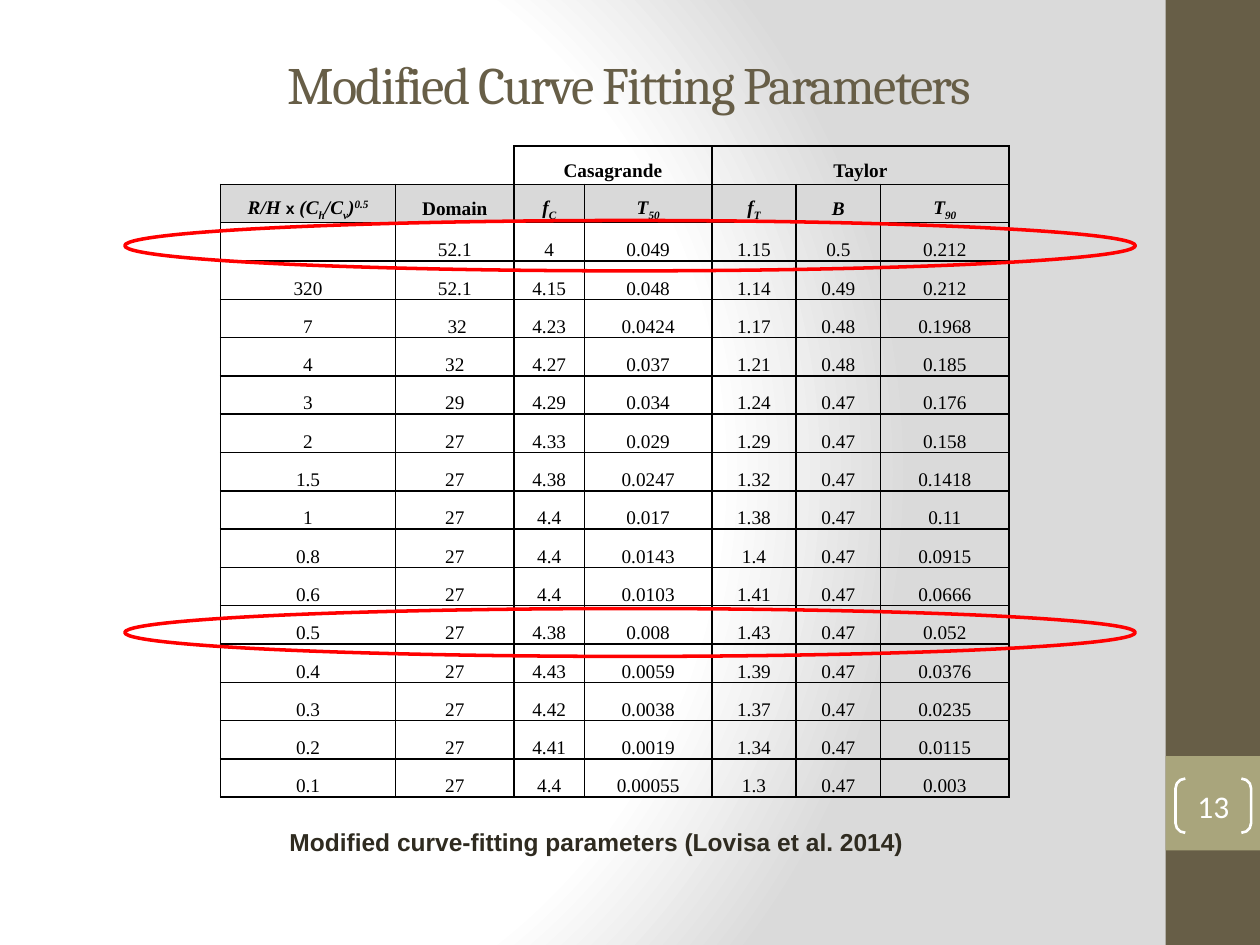
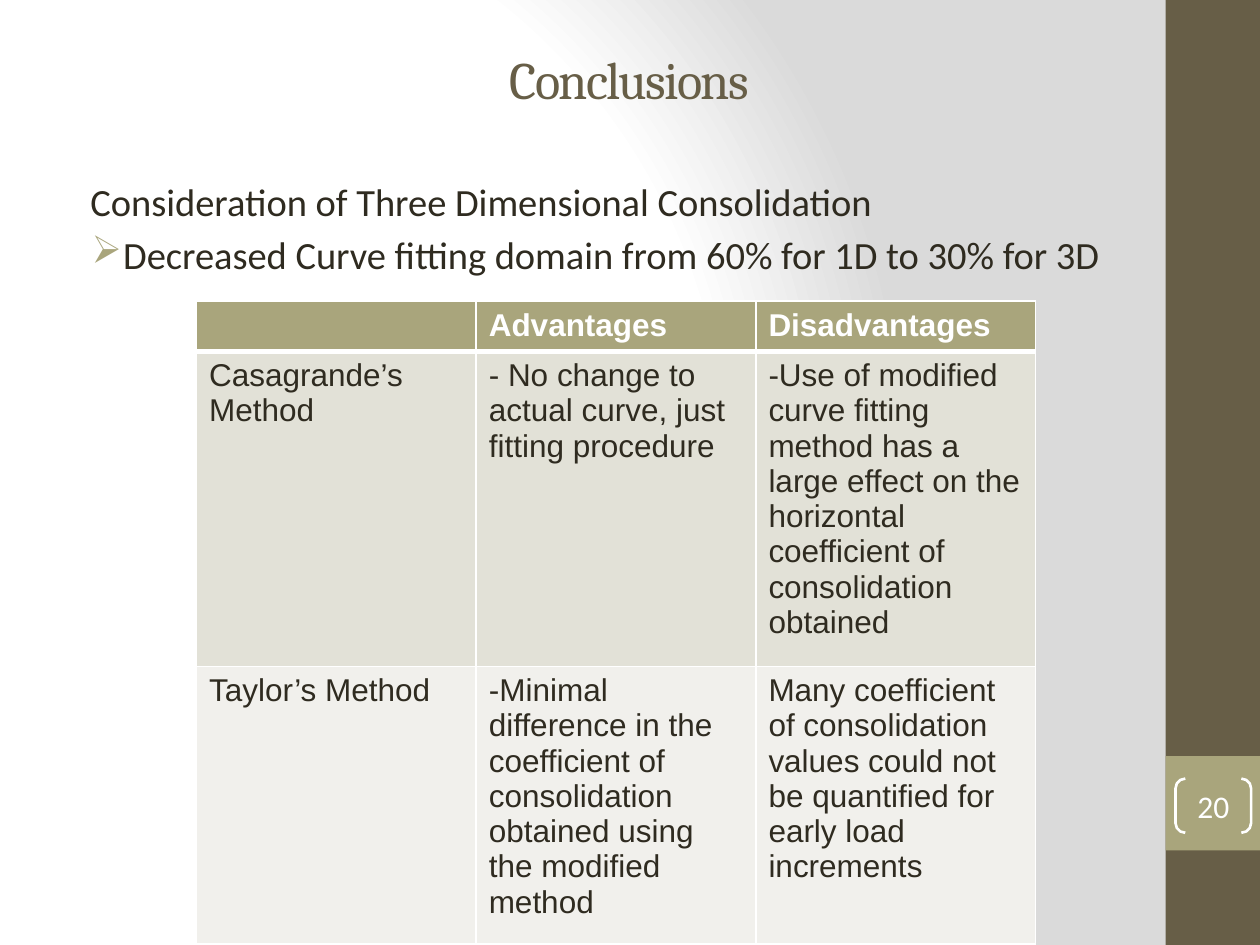
"""Build two slides on modified curve-fitting parameters for consolidation tests."""
import dataclasses
import typing

import lxml.etree
import pptx
import pptx.dml.color
import pptx.enum.shapes
import pptx.enum.text
import pptx.oxml.ns
import pptx.util

qn = pptx.oxml.ns.qn
ALIGN = pptx.enum.text.PP_ALIGN
ANCHOR = pptx.enum.text.MSO_ANCHOR
SHAPE = pptx.enum.shapes.MSO_SHAPE


@dataclasses.dataclass(frozen=True)
class Theme:
    olive: str = "675E47"
    sage: str = "A9A57C"
    ink: str = "2F2B20"
    white: str = "FFFFFF"
    black: str = "000000"
    red: str = "FF0000"
    shade: str = "D9D9D9"
    backdrop_edge: str = "DADADA"
    method_fills: tuple[str, str] = ("E2E1D7", "F1F0EC")
    heading_font: str = "Cambria"
    body_font: str = "Calibri"
    label_font: str = "Arial"
    data_font: str = "Times New Roman"
    title_size: float = 30
    body_size: float = 22
    label_size: float = 18
    caption_size: float = 14
    data_size: float = 11
    sign_size: float = 9


THEME = Theme()
SLIDE_WIDTH = pptx.util.Inches(10)
SLIDE_HEIGHT = pptx.util.Inches(7.5)
COLUMN = SLIDE_WIDTH / 100
ROW = SLIDE_HEIGHT / 75


@dataclasses.dataclass(frozen=True)
class Frame:
    left: float
    top: float
    width: float
    height: float

    def emu(self) -> tuple[int, int, int, int]:
        return (round(self.left * COLUMN), round(self.top * ROW),
                round(self.width * COLUMN), round(self.height * ROW))


class Panel(typing.NamedTuple):
    frame: Frame
    kind: typing.Any
    fill: str | None = None
    line: str | None = None
    weight: float = 0


class Symbol(typing.NamedTuple):
    text: str
    baseline: int = 0
    italic: bool = True
    font: str = THEME.data_font
    size: float = THEME.data_size


BANDS = (
    Panel(Frame(92.5, 0, 7.5, 75), SHAPE.RECTANGLE, fill=THEME.olive),
    Panel(Frame(92.5, 60, 7.5, 7.5), SHAPE.RECTANGLE, fill=THEME.sage),
)
PAGE_BRACKET = Panel(Frame(93.3, 61.8, 6, 4.3), SHAPE.DOUBLE_BRACKET, line=THEME.white, weight=1.5)
HIGHLIGHTS = tuple(
    Panel(frame, SHAPE.OVAL, line=THEME.red, weight=2)
    for frame in (Frame(9.9, 48.3, 80.2, 3.8), Frame(9.9, 17.5, 80.2, 4))
)

PARAMETER_WIDTHS = (13.9, 9.4, 5.6, 10.1, 6.7, 6.7, 10.2)
PARAMETER_ROW = 3.04
PARAMETER_SYMBOLS = (
    (Symbol("R/H "), Symbol("x", italic=False, font=THEME.label_font, size=THEME.sign_size),
     Symbol(" (C"), Symbol("h", -25), Symbol("/C"), Symbol("v", -25), Symbol(")"), Symbol("0.5", 30)),
    (Symbol("Domain", italic=False),),
    (Symbol("f"), Symbol("C", -25)),
    (Symbol("T"), Symbol("50", -25)),
    (Symbol("f"), Symbol("T", -25)),
    (Symbol("B"),),
    (Symbol("T"), Symbol("90", -25)),
)
PARAMETERS = (
    ("", "52.1", "4", "0.049", "1.15", "0.5", "0.212"),
    ("320", "52.1", "4.15", "0.048", "1.14", "0.49", "0.212"),
    ("7", " 32", "4.23", "0.0424", "1.17", "0.48", "0.1968"),
    ("4", "32", "4.27", "0.037", "1.21", "0.48", "0.185"),
    ("3", "29", "4.29", "0.034", "1.24", "0.47", "0.176"),
    ("2", "27", "4.33", "0.029", "1.29", "0.47", "0.158"),
    ("1.5", "27", "4.38", "0.0247", "1.32", "0.47", "0.1418"),
    ("1", "27", "4.4", "0.017", "1.38", "0.47", "0.11"),
    ("0.8", "27", "4.4", "0.0143", "1.4", "0.47", "0.0915"),
    ("0.6", "27", "4.4", "0.0103", "1.41", "0.47", "0.0666"),
    ("0.5", "27", "4.38", "0.008", "1.43", "0.47", "0.052"),
    ("0.4", "27", "4.43", "0.0059", "1.39", "0.47", "0.0376"),
    ("0.3", "27", "4.42", "0.0038", "1.37", "0.47", "0.0235"),
    ("0.2", "27", "4.41", "0.0019", "1.34", "0.47", "0.0115"),
    ("0.1", "27", "4.4", "0.00055", "1.3", "0.47", "0.003"),
)
METHOD_WIDTHS = (22.2,) * 3
METHOD_HEIGHTS = (3.9, 23.4, 20.7)
METHODS = (
    ("", "Advantages", "Disadvantages"),
    ("Casagrande’s Method", "- No change to actual curve, just fitting procedure",
     "-Use of modified curve fitting method has a large effect on the horizontal "
     "coefficient of consolidation obtained"),
    ("Taylor’s Method",
     "-Minimal difference in the coefficient of consolidation obtained using the modified method",
     "Many coefficient of consolidation values could not be quantified for early load increments"),
)


def rgb(color: str) -> pptx.dml.color.RGBColor:
    return pptx.dml.color.RGBColor.from_string(color)


def add_xml(parent, tag: str, **attributes):
    return lxml.etree.SubElement(parent, qn(tag), attributes)


def write(paragraph, text: str, *, font: str, size: float, color: str, bold: bool = False,
          italic: bool = False, baseline: int = 0, tracking: float = 0) -> None:
    if not text:
        add_xml(paragraph._p, "a:endParaRPr", sz=str(round(size * 100)))
        return
    run = paragraph.add_run()
    run.text = text
    run.font.name = font
    run.font.size = pptx.util.Pt(size)
    run.font.color.rgb = rgb(color)
    run.font.bold = bold
    run.font.italic = italic
    properties = run._r.get_or_add_rPr()
    if baseline:
        properties.set("baseline", str(baseline * 1000))
    if tracking:
        properties.set("spc", str(round(tracking * 100)))


def draw_panel(slide, panel: Panel):
    shape = slide.shapes.add_shape(panel.kind, *panel.frame.emu())
    shape.shadow.inherit = False
    if panel.fill:
        shape.fill.solid()
        shape.fill.fore_color.rgb = rgb(panel.fill)
    else:
        shape.fill.background()
    if panel.line:
        shape.line.color.rgb = rgb(panel.line)
        shape.line.width = pptx.util.Pt(panel.weight)
    else:
        shape.line.fill.background()
    return shape


def add_text_box(slide, frame: Frame):
    text_frame = slide.shapes.add_textbox(*frame.emu()).text_frame
    text_frame.word_wrap = True
    return text_frame


def set_backdrop(master) -> None:
    master.background.fill.gradient()
    gradient = master.element.find(f".//{qn('p:bgPr')}/{qn('a:gradFill')}")
    for child in list(gradient):
        gradient.remove(child)
    stops = add_xml(gradient, "a:gsLst")
    for position, color in ((0, THEME.white), (75, THEME.white), (100, THEME.backdrop_edge)):
        stop = add_xml(stops, "a:gs", pos=str(position * 1000))
        add_xml(stop, "a:srgbClr", val=color)
    circle = add_xml(gradient, "a:path", path="circle")
    add_xml(circle, "a:fillToRect", l="20000", t="50000", r="100000", b="50000")


def start_slide(deck, title: str, title_top: float, page: int):
    slide = deck.slides.add_slide(deck.slide_layouts.get_by_name("Title Only"))
    for band in BANDS:
        draw_panel(slide, band)
    heading = slide.shapes.title
    heading.left, heading.top, heading.width, heading.height = Frame(8.3, title_top, 83.3, 12.5).emu()
    heading.text_frame.vertical_anchor = ANCHOR.MIDDLE
    heading.text_frame.auto_size = pptx.enum.text.MSO_AUTO_SIZE.NONE
    paragraph = heading.text_frame.paragraphs[0]
    paragraph.alignment = ALIGN.CENTER
    write(paragraph, title, font=THEME.heading_font, size=THEME.title_size,
          color=THEME.olive, tracking=-1)
    bracket = draw_panel(slide, PAGE_BRACKET)
    bracket.adjustments[0] = 0.18
    number = bracket.text_frame
    number.margin_left = number.margin_right = number.margin_top = number.margin_bottom = 0
    number.vertical_anchor = ANCHOR.MIDDLE
    number.paragraphs[0].alignment = ALIGN.CENTER
    write(number.paragraphs[0], str(page), font=THEME.body_font, size=THEME.label_size,
          color=THEME.white)
    return slide


def add_grid(slide, left: float, top: float, widths: typing.Sequence[float],
             heights: typing.Sequence[float]):
    frame = Frame(left, top, sum(widths), sum(heights))
    table = slide.shapes.add_table(len(heights), len(widths), *frame.emu()).table
    table.first_row = table.horz_banding = False
    table._tbl.tblPr.find(qn("a:tableStyleId")).text = "{2D5ABB26-0587-4C30-8999-92F81FD0307C}"
    for column, width in zip(table.columns, widths):
        column.width = round(width * COLUMN)
    for row, height in zip(table.rows, heights):
        row.height = round(height * ROW)
    return table


def dress_cell(cell, color: str, sides: str = "LRTB", fill: str | None = None,
               bottom_weight: float = 1) -> None:
    properties = cell._tc.get_or_add_tcPr()
    for side in sides:
        weight = bottom_weight if side == "B" else 1
        line = add_xml(properties, f"a:ln{side}", w=str(pptx.util.Pt(weight)))
        add_xml(add_xml(line, "a:solidFill"), "a:srgbClr", val=color)
    if fill:
        cell.fill.solid()
        cell.fill.fore_color.rgb = rgb(fill)
    else:
        cell.fill.background()


def add_parameter_table(slide) -> None:
    groups = ("", "", "Casagrande", "", "Taylor", "", "")
    rows = (tuple((Symbol(group, italic=False),) for group in groups), PARAMETER_SYMBOLS,
            *(tuple((Symbol(value, italic=False),) for value in values) for values in PARAMETERS))
    table = add_grid(slide, 17.5, 11.6, PARAMETER_WIDTHS, (PARAMETER_ROW,) * len(rows))
    corner_sides = {(0, 0): "B", (0, 1): "RB"}
    for r, row in enumerate(rows):
        for c, symbols in enumerate(row):
            cell = table.cell(r, c)
            cell.margin_left = cell.margin_right = pptx.util.Inches(0.07)
            cell.margin_top = cell.margin_bottom = 0
            cell.vertical_anchor = ANCHOR.MIDDLE if r < 2 else ANCHOR.BOTTOM
            dress_cell(cell, THEME.black, corner_sides.get((r, c), "LRTB"),
                       THEME.shade if r == 1 else None)
            paragraph = cell.text_frame.paragraphs[0]
            paragraph.alignment = ALIGN.CENTER
            paragraph.line_spacing = 1.5
            for symbol in symbols:
                write(paragraph, symbol.text, font=symbol.font, size=symbol.size, color=THEME.black,
                      bold=r < 2, italic=symbol.italic, baseline=symbol.baseline)
    for first, last in ((2, 3), (4, 6)):
        table.cell(0, first).merge(table.cell(0, last))


def add_method_table(slide) -> None:
    table = add_grid(slide, 15.6, 23.9, METHOD_WIDTHS, METHOD_HEIGHTS)
    for r, (row, fill) in enumerate(zip(METHODS, (THEME.sage, *THEME.method_fills))):
        is_header = r == 0
        for c, text in enumerate(row):
            cell = table.cell(r, c)
            dress_cell(cell, THEME.white, fill=fill, bottom_weight=3 if is_header else 1)
            write(cell.text_frame.paragraphs[0], text, font=THEME.label_font, size=THEME.label_size,
                  color=THEME.white if is_header else THEME.ink, bold=is_header)


def add_findings(slide) -> None:
    findings = add_text_box(slide, Frame(5, 13.6, 83.3, 52.5))
    findings.margin_right = 0
    topic, domain = findings.paragraphs[0], findings.add_paragraph()
    for paragraph, margin, indent in ((topic, 0.12, 0), (domain, 0.38, -0.25)):
        properties = paragraph._p.get_or_add_pPr()
        properties.set("marL", str(pptx.util.Inches(margin)))
        properties.set("indent", str(pptx.util.Inches(indent)))
    domain.space_before = pptx.util.Pt(0.2 * THEME.body_size)
    properties = domain._p.get_or_add_pPr()
    add_xml(add_xml(properties, "a:buClr"), "a:srgbClr", val=THEME.sage)
    add_xml(properties, "a:buChar", char="➢")
    style = dict(font=THEME.body_font, size=THEME.body_size, color=THEME.ink)
    write(topic, "Consideration of Three Dimensional Consolidation", **style)
    write(domain, "Decreased Curve fitting domain from 60% for 1D to 30% for 3D", **style)


def main() -> None:
    deck = pptx.Presentation()
    deck.slide_width, deck.slide_height = SLIDE_WIDTH, SLIDE_HEIGHT
    set_backdrop(deck.slide_master)

    parameters = start_slide(deck, "Modified Curve Fitting Parameters", 0.4, 13)
    add_parameter_table(parameters)
    caption = add_text_box(parameters, Frame(21.3, 64.6, 57.4, 4)).paragraphs[0]
    for text, size in ((" ", THEME.label_size),
                       ("Modified curve-fitting parameters (Lovisa et al. 2014)", THEME.caption_size)):
        write(caption, text, font=THEME.label_font, size=size, color=THEME.ink, bold=True)
    for highlight in HIGHLIGHTS:
        draw_panel(parameters, highlight)

    conclusions = start_slide(deck, "Conclusions", 0, 20)
    add_findings(conclusions)
    add_method_table(conclusions)
    deck.save("out.pptx")


if __name__ == "__main__":
    main()
